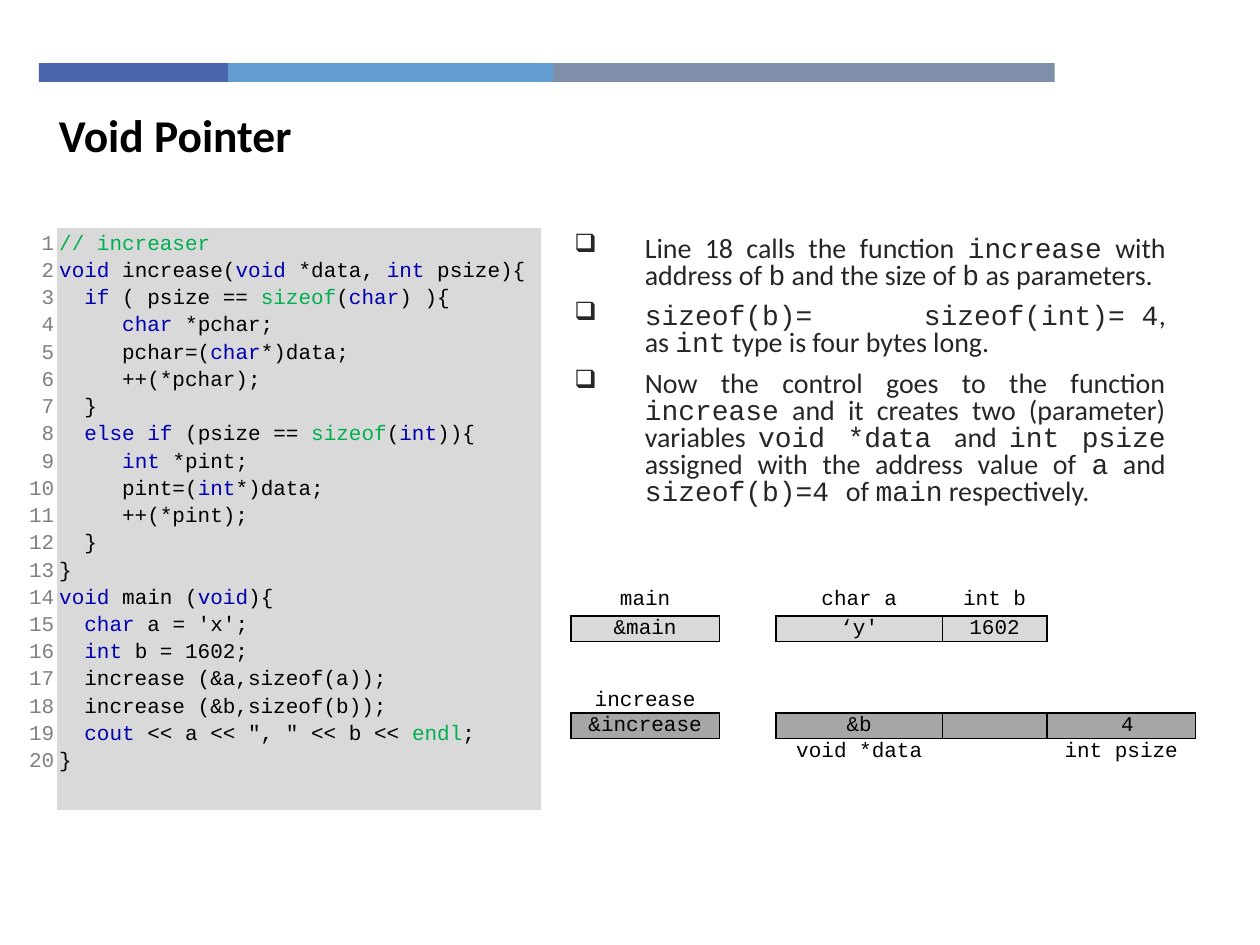
from dataclasses import dataclass
from itertools import groupby

from lxml.etree import SubElement
from pptx import Presentation
from pptx.dml.color import RGBColor
from pptx.enum.shapes import MSO_SHAPE
from pptx.enum.text import MSO_ANCHOR, PP_ALIGN
from pptx.oxml.ns import qn
from pptx.util import Inches, Pt

BLACK = RGBColor(0x00, 0x00, 0x00)
BODY_GRAY = RGBColor(0x26, 0x26, 0x26)
NUMBER_GRAY = RGBColor(0x80, 0x80, 0x80)
LIGHT_GRAY = RGBColor(0xD9, 0xD9, 0xD9)
DARK_GRAY = RGBColor(0xA6, 0xA6, 0xA6)
KEYWORD_BLUE = RGBColor(0x00, 0x00, 0xB0)
GREEN = RGBColor(0x00, 0xB0, 0x50)
SANS, MONO = "Calibri", "Courier New"
NO_STYLE = "{2D5ABB26-0587-4C30-8999-92F81FD0307C}"
NO_BREAK_SPACE = chr(160)

TOKEN_COLORS = {
    **dict.fromkeys(("void", "int", "char", "if", "else", "cout"), KEYWORD_BLUE),
    **dict.fromkeys(("sizeof", "endl"), GREEN),
}
CODE = """// increaser
void increase(void *data, int psize){
  if ( psize == sizeof(char) ){
     char *pchar;
     pchar=(char*)data;
     ++(*pchar);
  }
  else if (psize == sizeof(int)){
     int *pint;
     pint=(int*)data;
     ++(*pint);
  }
}
void main (void){
  char a = 'x';
  int b = 1602;
  increase (&a,sizeof(a));
  increase (&b,sizeof(b));
  cout << a << ", " << b << endl;
}""".splitlines()

# Backticks enclose the words set in the code font, a tilde is a no-break space.
BULLETS = (
    "Line 18 calls the function `increase` with address of `b` and the size of `b` as parameters. ",
    "`sizeof(b)= sizeof(int)=~4`, as~`int`~type is four bytes long. ",
    "Now the control goes to the function `increase` and it creates two (parameter) variables "
    "`void *data `and `int psize `assigned with the address value of `a` and "
    "`sizeof(b)=4 `of `main` respectively.",
)


@dataclass
class Bar:
    left: float
    width: float
    color: RGBColor


@dataclass
class MemoryCell:
    row: int
    column: int
    text: str
    fill: RGBColor | None = None


BARS = (
    Bar(0.31, 1.5, RGBColor(0x4A, 0x66, 0xAC)),
    Bar(1.81, 2.58, RGBColor(0x62, 0x9D, 0xD1)),
    Bar(4.39, 3.98, RGBColor(0x7F, 0x8F, 0xA9)),
)
MEMORY_COLUMNS = (1.18, 0.27, 0.18, 0.18, 0.52, 0.44, 0.18, 0.18, 0.24, 0.41, 1.18)
MEMORY_ROWS = (0.25, 0.19, 0.19, 0.18, 0.19, 0.19, 0.22)
MEMORY_SPANS = {1: 2, 3: 6, 7: 9}
SPACER_ROW = 2  # keeps its single cells, so that every grid column exists
MEMORY_CELLS = (
    MemoryCell(0, 0, "main"),
    MemoryCell(0, 3, "char a"),
    MemoryCell(0, 7, "int b"),
    MemoryCell(1, 0, "&main", LIGHT_GRAY),
    MemoryCell(1, 3, "‘y'", LIGHT_GRAY),
    MemoryCell(1, 7, "1602", LIGHT_GRAY),
    MemoryCell(4, 0, "increase"),
    MemoryCell(5, 0, "&increase", DARK_GRAY),
    MemoryCell(5, 3, "&b", DARK_GRAY),
    MemoryCell(5, 7, "", DARK_GRAY),
    MemoryCell(5, 10, NO_BREAK_SPACE + "4", DARK_GRAY),
    MemoryCell(6, 3, "void *data"),
    MemoryCell(6, 10, "int psize"),
)


def add_run(paragraph, text: str, font: str, size: float, color: RGBColor, bold: bool = False) -> None:
    run = paragraph.add_run()
    run.text = text
    run.font.name, run.font.size, run.font.bold = font, Pt(size), bold
    run.font.color.rgb = color


def add_paragraphs(text_frame, count: int) -> list:
    """Bring the text frame to the given number of paragraphs."""
    return [text_frame.paragraphs[0]] + [text_frame.add_paragraph() for _ in range(count - 1)]


def add_text_box(slide, left: float, top: float, width: float, height: float):
    box = slide.shapes.add_textbox(Inches(left), Inches(top), Inches(width), Inches(height))
    box.text_frame.word_wrap = True
    return box.text_frame


def add_plain_table(slide, left: float, top: float, columns: tuple, rows: tuple):
    """Add an unstyled table with the given column widths and row heights."""
    frame = slide.shapes.add_table(
        len(rows), len(columns), Inches(left), Inches(top), Inches(sum(columns)), Inches(sum(rows))
    )
    table = frame.table
    table.first_row = table.horz_banding = False
    frame._element.find(".//" + qn("a:tableStyleId")).text = NO_STYLE
    for column, width in zip(table.columns, columns):
        column.width = Inches(width)
    for row, height in zip(table.rows, rows):
        row.height = Inches(height)
    return table


def set_margins(cell, left: float, top: float, right: float, bottom: float) -> None:
    cell.margin_left, cell.margin_top = Inches(left), Inches(top)
    cell.margin_right, cell.margin_bottom = Inches(right), Inches(bottom)


def fill_cell(cell, color: RGBColor) -> None:
    cell.fill.solid()
    cell.fill.fore_color.rgb = color


def add_borders(cell) -> None:
    properties = cell._tc.get_or_add_tcPr()
    for position, side in enumerate(("a:lnL", "a:lnR", "a:lnT", "a:lnB")):
        line = properties.makeelement(qn(side), {"w": str(Pt(1))})
        SubElement(SubElement(line, qn("a:solidFill")), qn("a:srgbClr"), val=str(BLACK))
        properties.insert(position, line)


def color_code(line: str) -> list[tuple[RGBColor, str]]:
    """Split a code line into pieces of one colour; calls of increase stay black."""
    if line.startswith("//"):
        return [(GREEN, line)]
    if line.strip().startswith("increase"):
        return [(BLACK, line)]
    tokens = ["".join(characters) for _, characters in groupby(line, str.isalnum)]
    return [
        (color, "".join(pieces))
        for color, pieces in groupby(tokens, lambda token: TOKEN_COLORS.get(token, BLACK))
    ]


def draw_bar(slide, bar: Bar) -> None:
    shape = slide.shapes.add_shape(
        MSO_SHAPE.RECTANGLE, Inches(bar.left), Inches(0.5), Inches(bar.width), Inches(0.15)
    )
    shape.shadow.inherit = False
    shape.fill.solid()
    shape.fill.fore_color.rgb = bar.color
    shape.line.fill.background()


def draw_bullets(slide) -> None:
    text_frame = add_text_box(slide, 4.46, 1.83, 4.89, 2.47)
    for paragraph, text in zip(add_paragraphs(text_frame, len(BULLETS)), BULLETS):
        paragraph.alignment = PP_ALIGN.JUSTIFY
        paragraph.line_spacing = 0.8
        paragraph.space_before = paragraph.space_after = Pt(4)
        properties = paragraph._p.get_or_add_pPr()
        properties.set("marL", str(Inches(0.56)))
        properties.set("indent", str(-Inches(0.56)))
        SubElement(properties, qn("a:buSzPct"), val="90000")
        SubElement(properties, qn("a:buChar"), char="❑")
        for index, piece in enumerate(text.replace("~", NO_BREAK_SPACE).split("`")):
            if piece:
                add_run(paragraph, piece, MONO if index % 2 else SANS, 16, BODY_GRAY)


def draw_code(slide) -> None:
    table = add_plain_table(slide, 0.14, 1.81, (0.31, 3.84), (4.62,))
    number_cell, code_cell = table.cell(0, 0), table.cell(0, 1)
    set_margins(number_cell, 0.01, 0.01, 0.02, 0.01)
    set_margins(code_cell, 0.02, 0.01, 0.01, 0.01)
    number_cell.fill.background()
    fill_cell(code_cell, LIGHT_GRAY)
    numbers = add_paragraphs(number_cell.text_frame, len(CODE))
    lines = add_paragraphs(code_cell.text_frame, len(CODE))
    for index, (number, line) in enumerate(zip(numbers, lines)):
        number.line_spacing = line.line_spacing = 1.15
        number.alignment = PP_ALIGN.RIGHT
        add_run(number, str(index + 1), MONO, 12, NUMBER_GRAY)
        for color, piece in color_code(CODE[index]):
            add_run(line, piece, MONO, 12, color)


def draw_memory(slide) -> None:
    table = add_plain_table(slide, 4.53, 4.64, MEMORY_COLUMNS, MEMORY_ROWS)
    contents = {(item.row, item.column): item for item in MEMORY_CELLS}
    for row in range(len(MEMORY_ROWS)):
        if row != SPACER_ROW:
            for first, last in MEMORY_SPANS.items():
                table.cell(row, first).merge(table.cell(row, last))
        for column in range(len(MEMORY_COLUMNS)):
            cell = table.cell(row, column)
            set_margins(cell, 0.07, 0, 0.07, 0)
            cell.vertical_anchor = MSO_ANCHOR.MIDDLE
            cell.fill.background()
            paragraph = cell.text_frame.paragraphs[0]
            item = contents.get((row, column))
            if item and item.text:
                paragraph.alignment = PP_ALIGN.CENTER
                add_run(paragraph, item.text, MONO, 12, BLACK)
            else:
                SubElement(paragraph._p, qn("a:endParaRPr"), sz="800")
            if item and item.fill:
                fill_cell(cell, item.fill)
                for covered in range(column, MEMORY_SPANS.get(column, column) + 1):
                    add_borders(table.cell(row, covered))


def main() -> None:
    presentation = Presentation()
    presentation.slide_width, presentation.slide_height = Inches(10), Inches(7.5)
    slide = presentation.slides.add_slide(presentation.slide_layouts[6])
    for bar in BARS:
        draw_bar(slide, bar)
    draw_bullets(slide)
    draw_code(slide)
    title = add_text_box(slide, 0.37, 0.8, 7.16, 0.54)
    add_run(title.paragraphs[0], "Void Pointer", SANS, 26, BLACK, bold=True)
    draw_memory(slide)
    presentation.save("out.pptx")


if __name__ == "__main__":
    main()
